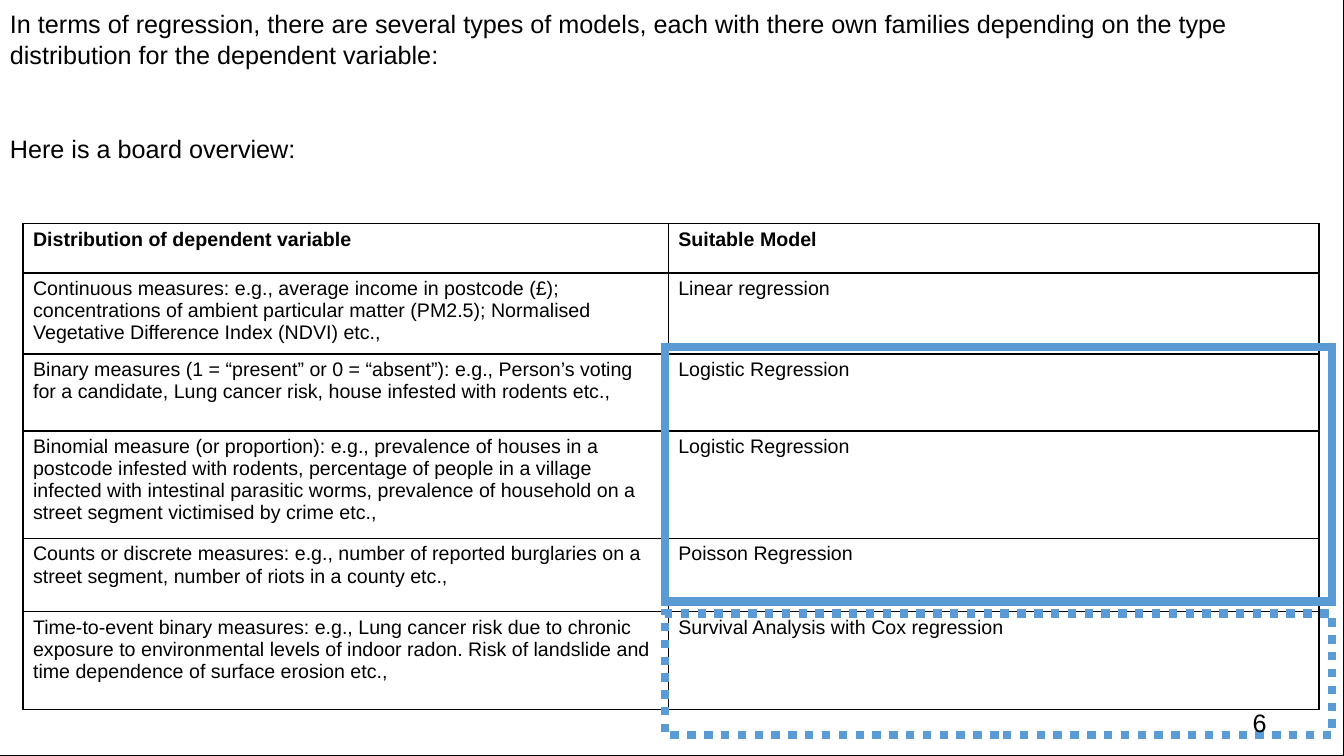
from dataclasses import dataclass
from typing import Optional

from lxml.etree import SubElement
from pptx import Presentation
from pptx.dml.color import RGBColor
from pptx.enum.dml import MSO_LINE
from pptx.enum.shapes import MSO_SHAPE
from pptx.enum.text import MSO_ANCHOR, PP_ALIGN
from pptx.oxml.ns import qn
from pptx.shapes.autoshape import Shape
from pptx.slide import Slide
from pptx.table import _Cell
from pptx.util import Cm, Pt


@dataclass(frozen=True)
class Theme:
    font: str = "Arial"
    ink: str = "000000"
    blue: str = "5B9BD5"
    body: float = 18
    cell: float = 14
    rule: float = 1
    edge: float = 0.75
    mark: float = 6


@dataclass(frozen=True)
class Box:
    left: float
    top: float
    width: float
    height: float


@dataclass(frozen=True)
class Frame:
    box: Box
    color: str
    weight: float
    dash: Optional[MSO_LINE] = None


@dataclass(frozen=True)
class Row:
    height: float
    measure: str
    model: str


THEME = Theme()
PAGE = Box(0, 0, 33.87, 19.05)
GRID = Box(0.58, 5.64, 32.66, 12.3)
COLS = (16.26, 16.4)
BORDER = Frame(PAGE, THEME.ink, THEME.edge)
MARKS = (
    Frame(Box(16.76, 8.74, 16.81, 6.42), THEME.blue, THEME.mark),
    Frame(Box(16.76, 15.46, 16.81, 3.07), THEME.blue, THEME.mark, MSO_LINE.ROUND_DOT),
)
INTRO = (
    "In terms of regression, there are several types of models, each with there own families "
    "depending on the type distribution for the dependent variable:",
    "Here is a board overview:",
)
ROWS = (
    Row(1.24, "Distribution of dependent variable", "Suitable Model"),
    Row(2.04, "Continuous measures: e.g., average income in postcode (£); concentrations of ambient "
        "particular matter (PM2.5); Normalised Vegetative Difference Index (NDVI) etc.,",
        "Linear regression"),
    Row(1.94, "Binary measures (1 = “present” or 0 = “absent”): e.g., Person’s voting for a "
        "candidate, Lung cancer risk, house infested with rodents etc.,",
        "Logistic Regression"),
    Row(2.7, "Binomial measure (or proportion): e.g., prevalence of houses in a postcode infested "
        "with rodents, percentage of people in a village infected with intestinal parasitic worms, "
        "prevalence of household on a street segment victimised by crime etc.,",
        "Logistic Regression"),
    Row(1.84, "Counts or discrete measures: e.g., number of reported burglaries on a street "
        "segment, number of riots in a county etc.,",
        "Poisson Regression"),
    Row(2.47, "Time-to-event binary measures: e.g., Lung cancer risk due to chronic exposure to "
        "environmental levels of indoor radon. Risk of landslide and time dependence of surface "
        "erosion etc.,",
        "Survival Analysis with Cox regression"),
)


def place(box: Box) -> tuple[Cm, Cm, Cm, Cm]:
    return Cm(box.left), Cm(box.top), Cm(box.width), Cm(box.height)


def style(para, size: float, bold: bool = False) -> None:
    para.alignment = PP_ALIGN.LEFT
    para.font.name = THEME.font
    para.font.size = Pt(size)
    para.font.bold = bold
    para.font.color.rgb = RGBColor.from_string(THEME.ink)


def add_frame(slide: Slide, frame: Frame) -> Shape:
    shape = slide.shapes.add_shape(MSO_SHAPE.RECTANGLE, *place(frame.box))
    shape.shadow.inherit = False
    shape.fill.background()
    shape.line.color.rgb = RGBColor.from_string(frame.color)
    shape.line.width = Pt(frame.weight)
    if frame.dash is not None:
        shape.line.dash_style = frame.dash
    SubElement(shape._element.spPr.find(qn("a:ln")), qn("a:miter"), lim="800000")
    return shape


def add_intro(slide: Slide) -> None:
    text = add_frame(slide, BORDER).text_frame
    text.word_wrap = True
    text.vertical_anchor = MSO_ANCHOR.TOP
    text.margin_top = Cm(0.18)
    text.text = "\n".join(INTRO)
    for para in text.paragraphs:
        style(para, THEME.body)
        para.line_spacing = 1.03
    text.paragraphs[-1].space_before = Pt(45)


def rule_cell(cell: _Cell) -> None:
    props = cell._tc.get_or_add_tcPr()
    for side in "LRTB":
        line = SubElement(props, qn(f"a:ln{side}"), w=str(Pt(THEME.rule)))
        SubElement(SubElement(line, qn("a:solidFill")), qn("a:srgbClr"), val=THEME.ink)


def add_grid(slide: Slide) -> None:
    grid = slide.shapes.add_table(len(ROWS), len(COLS), *place(GRID)).table
    grid.horz_banding = False
    for col, width in zip(grid.columns, COLS):
        col.width = Cm(width)
    for index, row in enumerate(ROWS):
        grid.rows[index].height = Cm(row.height)
        for cell, text in zip(grid.rows[index].cells, (row.measure, row.model)):
            cell.text = text
            style(cell.text_frame.paragraphs[0], THEME.cell, index == 0)
            rule_cell(cell)
            cell.fill.background()


def add_number(slide: Slide) -> None:
    text = slide.shapes.add_textbox(*place(Box(31.32, 17.7, 1.5, 0.41))).text_frame
    text.word_wrap = True
    text.text = "6"
    style(text.paragraphs[0], THEME.body)


def main() -> None:
    deck = Presentation()
    deck.slide_width, deck.slide_height = Cm(PAGE.width), Cm(PAGE.height)
    slide = deck.slides.add_slide(deck.slide_layouts[6])
    add_intro(slide)
    add_grid(slide)
    for mark in MARKS:
        add_frame(slide, mark)
    add_number(slide)
    deck.save("out.pptx")


if __name__ == "__main__":
    main()
